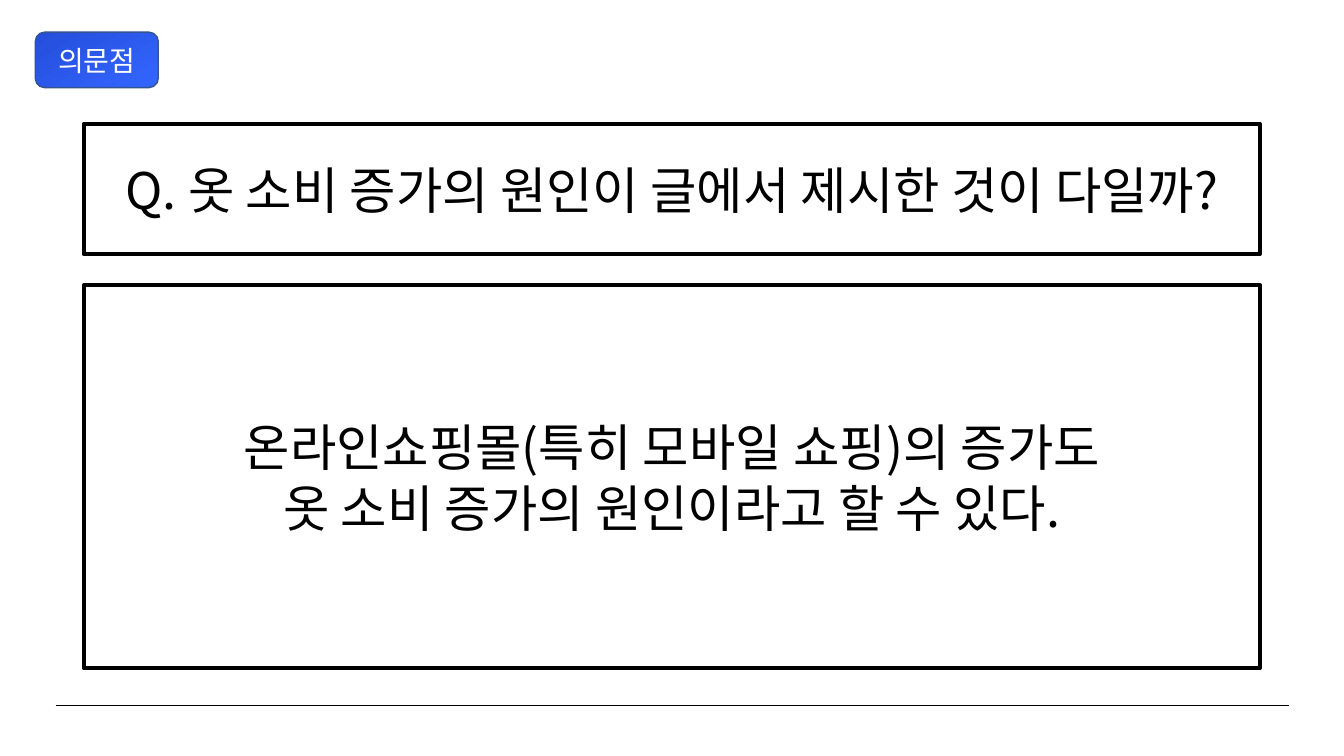
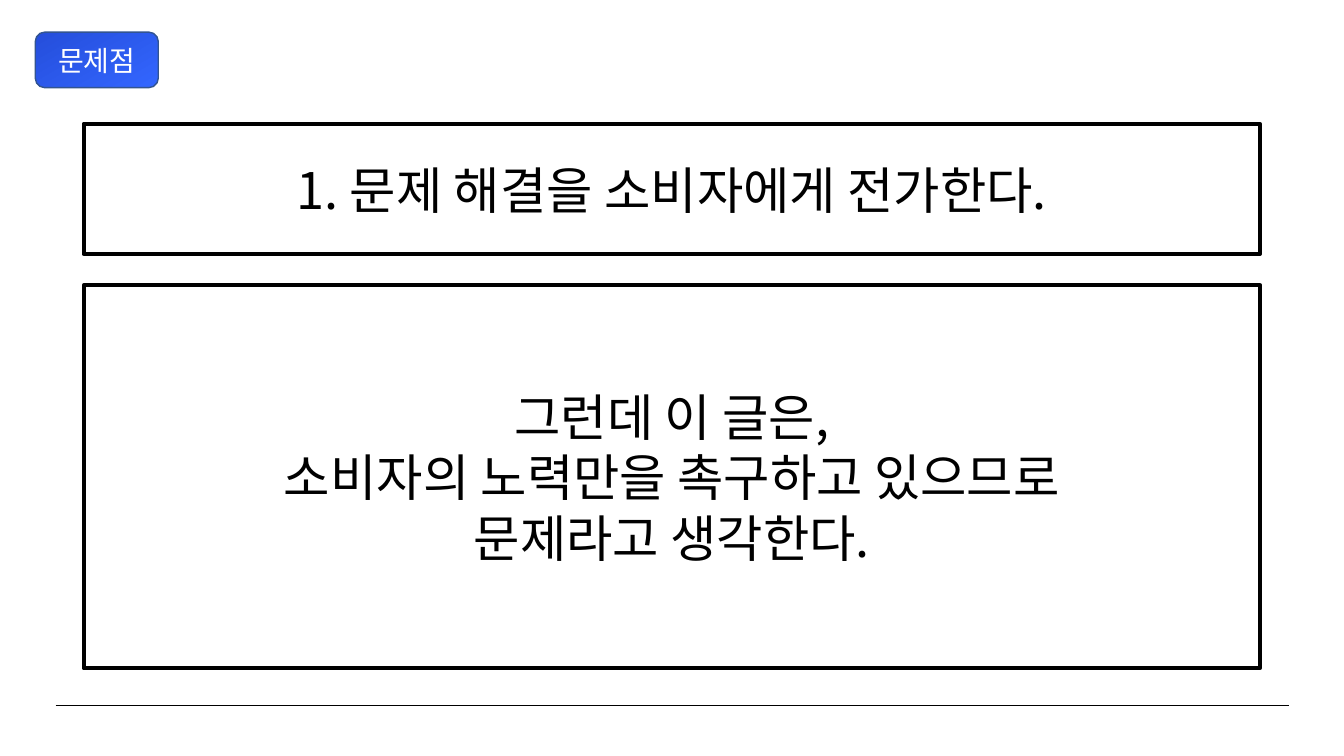
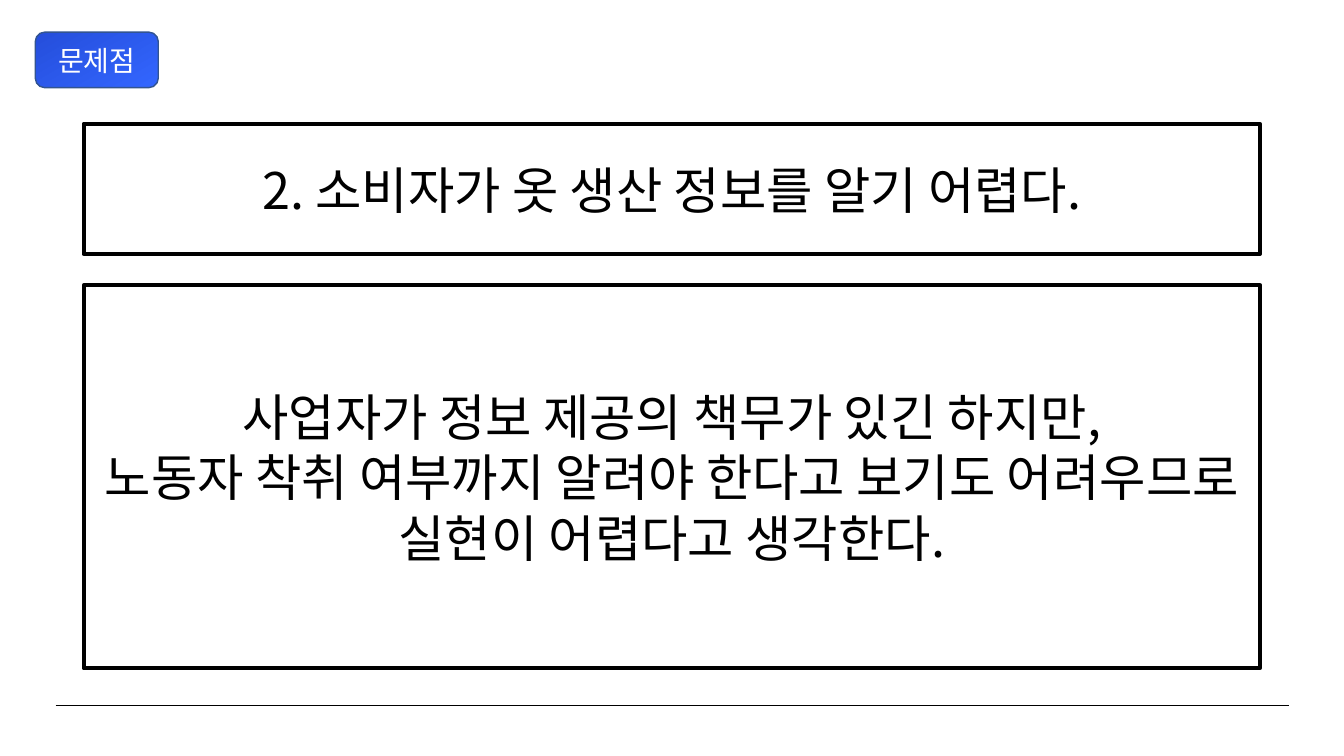
"""Build three discussion slides with a badge, a framed claim and a framed answer."""
from dataclasses import dataclass

from lxml.etree import SubElement
from pptx import Presentation
from pptx.dml.color import RGBColor
from pptx.enum.shapes import MSO_CONNECTOR as Connector, MSO_SHAPE as Preset
from pptx.enum.text import MSO_ANCHOR as Anchor, PP_ALIGN as Align
from pptx.oxml.ns import qn
from pptx.util import Cm, Pt

SLIDES = [
    {
        "badge": "의문점",
        "claim": ["Q. 옷 소비 증가의 원인이 글에서 제시한 것이 다일까?"],
        "answer": [
            "온라인쇼핑몰(특히 모바일 쇼핑)의 증가도",
            "옷 소비 증가의 원인이라고 할 수 있다.",
        ],
    },
    {
        "badge": "문제점",
        "claim": ["1. 문제 해결을 소비자에게 전가한다."],
        "answer": [
            "그런데 이 글은,",
            "소비자의 노력만을 촉구하고 있으므로",
            "문제라고 생각한다.",
        ],
    },
    {
        "badge": "문제점",
        "claim": ["2. 소비자가 옷 생산 정보를 알기 어렵다."],
        "answer": [
            "사업자가 정보 제공의 책무가 있긴 하지만,",
            "노동자 착취 여부까지 알려야 한다고 보기도 어려우므로",
            "실현이 어렵다고 생각한다.",
        ],
    },
]


@dataclass(frozen=True)
class Theme:
    font: str = "Noto Sans CJK KR"
    ink: str = "000000"
    paper: str = "FFFFFF"
    badge_light: str = "3366FF"
    badge_dark: str = "254EDB"
    badge_edge: str = "325491"
    badge_size: int = 20
    body_size: int = 36
    badge_line: float = 1
    frame_line: float = 3
    footer_line: float = 0.5


THEME = Theme()
SLIDE_SIZE = (33.87, 19.05)
BADGE_BOX = (0.89, 0.81, 3.1, 1.4)
CLAIM_BOX = (2.11, 3.12, 29.64, 3.28)
ANSWER_BOX = (2.11, 7.19, 29.64, 9.65)
FOOTER_RULE = (1.4, 17.78, 32.49, 17.78)


def rgb(value):
    return RGBColor.from_string(value)


def set_line(shape, color, width):
    shape.line.color.rgb = rgb(color)
    shape.line.width = Pt(width)


def write_lines(shape, lines, size, color):
    frame = shape.text_frame
    frame.word_wrap = True
    frame.vertical_anchor = Anchor.MIDDLE
    for index, line in enumerate(lines):
        paragraph = frame.add_paragraph() if index else frame.paragraphs[0]
        paragraph.alignment = Align.CENTER
        run = paragraph.add_run()
        run.text = line
        run.font.name = THEME.font
        run.font.size = Pt(size)
        run.font.color.rgb = rgb(color)
        east_asian = SubElement(run.font._element, qn("a:ea"))
        east_asian.set("typeface", THEME.font)


def add_box(slide, preset, box):
    shape = slide.shapes.add_shape(preset, *map(Cm, box))
    shape.shadow.inherit = False
    return shape


def add_badge(slide, label):
    badge = add_box(slide, Preset.ROUNDED_RECTANGLE, BADGE_BOX)
    badge.adjustments[0] = 0.17
    badge.fill.gradient()
    badge.fill.gradient_angle = 120
    colors = (THEME.badge_light, THEME.badge_dark)
    for stop, color, position in zip(badge.fill.gradient_stops, colors, (0, 1)):
        stop.color.rgb = rgb(color)
        stop.position = position
    set_line(badge, THEME.badge_edge, THEME.badge_line)
    write_lines(badge, [label], THEME.badge_size, THEME.paper)


def add_footer_rule(slide):
    rule = slide.shapes.add_connector(Connector.STRAIGHT, *map(Cm, FOOTER_RULE))
    set_line(rule, THEME.ink, THEME.footer_line)
    SubElement(rule._element.spPr, qn("a:effectLst"))


def add_frame(slide, box, lines):
    frame = add_box(slide, Preset.RECTANGLE, box)
    frame.fill.background()
    set_line(frame, THEME.ink, THEME.frame_line)
    write_lines(frame, lines, THEME.body_size, THEME.ink)


def build():
    presentation = Presentation()
    presentation.slide_width, presentation.slide_height = map(Cm, SLIDE_SIZE)
    blank = presentation.slide_layouts[6]
    for content in SLIDES:
        slide = presentation.slides.add_slide(blank)
        add_badge(slide, content["badge"])
        add_footer_rule(slide)
        add_frame(slide, CLAIM_BOX, content["claim"])
        add_frame(slide, ANSWER_BOX, content["answer"])
    presentation.save("out.pptx")


build()
